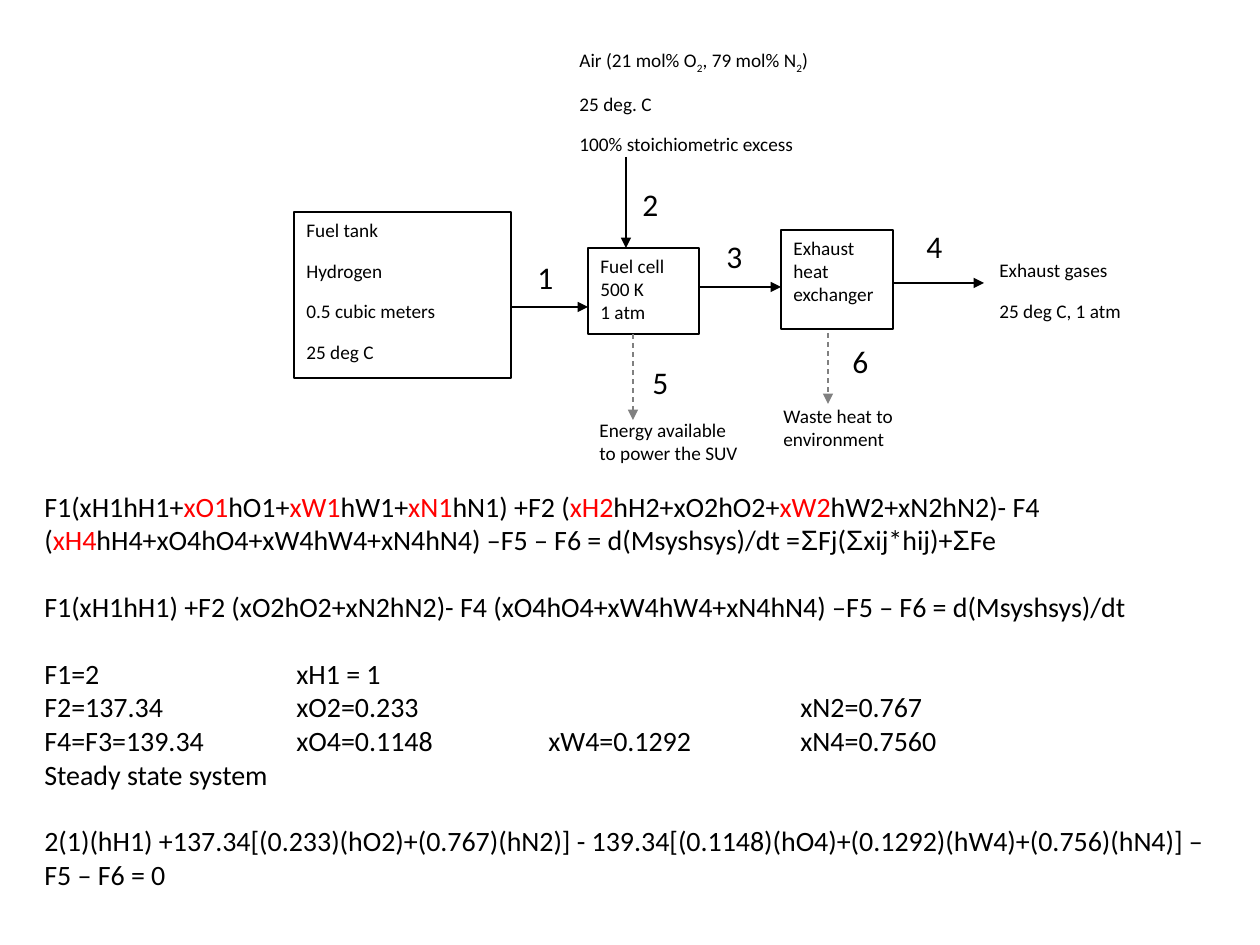
from dataclasses import dataclass

import pptx
import pptx.dml.color
import pptx.enum.dml
import pptx.enum.shapes
import pptx.enum.text
import pptx.oxml
import pptx.oxml.ns
import pptx.util
from lxml import etree

PX = 914400 // 126
BLACK, WHITE, RED, GRAY = "000000", "FFFFFF", "FF0000", "808080"


@dataclass
class Block:
    x: int
    y: int
    w: int
    h: int
    lines: list[str]
    outlined: bool = False
    gap: float = 10


@dataclass
class Arrow:
    x1: int
    y1: int
    x2: int
    y2: int
    energy: bool = False


@dataclass
class StreamLabel:
    text: str
    x: int
    y: int
    wrap: bool = False


@dataclass
class Line:
    text: str
    gap: float = 0


def rgb(color: str) -> pptx.dml.color.RGBColor:
    return pptx.dml.color.RGBColor.from_string(color)


def px(*lengths: int) -> list[int]:
    return [pptx.util.Emu(n * PX) for n in lengths]


def add_run(p, text: str, size: float = 11, color: str = BLACK,
            font: str = "Calibri", baseline: int = 0) -> None:
    r = p.add_run()
    r.text = text
    r.font.size = pptx.util.Pt(size)
    r.font.name = font
    r.font.color.rgb = rgb(color)
    if baseline:
        r._r.get_or_add_rPr().set("baseline", str(baseline * 1000))


def next_paragraph(tf, index: int):
    p = tf.add_paragraph() if index else tf.paragraphs[0]
    p.alignment = pptx.enum.text.PP_ALIGN.LEFT
    return p


def add_block(s, block: Block) -> None:
    sp = s.shapes.add_shape(pptx.enum.shapes.MSO_SHAPE.RECTANGLE,
                            *px(block.x, block.y, block.w, block.h))
    sp.shadow.inherit = False
    sp.fill.solid()
    sp.fill.fore_color.rgb = rgb(WHITE)
    if block.outlined:
        sp.line.color.rgb = rgb(BLACK)
        sp.line.width = pptx.util.Pt(0.75)
    else:
        sp.line.fill.background()
    tf = sp.text_frame
    tf.word_wrap = True
    tf.vertical_anchor = pptx.enum.text.MSO_ANCHOR.TOP
    for i, line in enumerate(block.lines):
        p = next_paragraph(tf, i)
        p.space_after = pptx.util.Pt(block.gap)
        for j, part in enumerate(line.split("_")):
            if j:
                add_run(p, part[0], baseline=-25)
                part = part[1:]
            add_run(p, part)


def add_arrow(s, arrow: Arrow) -> None:
    c = s.shapes.add_connector(pptx.enum.shapes.MSO_CONNECTOR.STRAIGHT,
                               *px(arrow.x1, arrow.y1, arrow.x2, arrow.y2))
    c.line.width = pptx.util.Pt(0.75)
    c.line.color.rgb = rgb(GRAY if arrow.energy else BLACK)
    if arrow.energy:
        c.line.dash_style = pptx.enum.dml.MSO_LINE.DASH
    ln = c.line._get_or_add_ln()
    etree.SubElement(ln, pptx.oxml.ns.qn("a:tailEnd"), type="triangle")
    etree.SubElement(c._element.spPr, pptx.oxml.ns.qn("a:effectLst"))


def add_label(s, label: StreamLabel) -> None:
    tf = s.shapes.add_textbox(*px(label.x, label.y, 42, 50)).text_frame
    tf.word_wrap = label.wrap
    tf.auto_size = pptx.enum.text.MSO_AUTO_SIZE.SHAPE_TO_FIT_TEXT
    add_run(tf.paragraphs[0], label.text, size=18)


def add_tabs(p, step: int, count: int) -> None:
    tabs = etree.SubElement(p._p.get_or_add_pPr(), pptx.oxml.ns.qn("a:tabLst"))
    for n in range(1, count + 1):
        etree.SubElement(tabs, pptx.oxml.ns.qn("a:tab"),
                         pos=str(n * step * PX), algn="l")


def add_balance(s, lines: list[Line]) -> None:
    tf = s.shapes.add_textbox(*px(32, 483, 1197, 420)).text_frame
    tf.word_wrap = True
    tf.auto_size = pptx.enum.text.MSO_AUTO_SIZE.SHAPE_TO_FIT_TEXT
    for i, line in enumerate(lines):
        p = next_paragraph(tf, i)
        p.space_before = pptx.util.Pt(line.gap)
        if "\t" in line.text:
            add_tabs(p, step=252, count=3)
        for j, part in enumerate(line.text.split("|")):
            color = RED if j % 2 else BLACK
            for k, piece in enumerate(part.split("Σ")):
                if k:
                    add_run(p, "Σ", size=16, color=color, font="Arial")
                add_run(p, piece, size=16, color=color)


BALANCE = [
    Line("F1(xH1hH1+|xO1|hO1+|xW1|hW1+|xN1|hN1) +F2 (|xH2|hH2+xO2hO2+|xW2|"
         "hW2+xN2hN2)- F4 (|xH4|hH4+xO4hO4+xW4hW4+xN4hN4) –F5 – F6 = "
         "d(Msyshsys)/dt =ΣFj(Σxij*hij)+ΣFe"),
    Line("F1(xH1hH1) +F2 (xO2hO2+xN2hN2)- F4 (xO4hO4+xW4hW4+xN4hN4) "
         "–F5 – F6 = d(Msyshsys)/dt", gap=19),
    Line("F1=2\txH1 = 1", gap=19),
    Line("F2=137.34\txO2=0.233\t\txN2=0.767"),
    Line("F4=F3=139.34\txO4=0.1148\txW4=0.1292\txN4=0.7560"),
    Line("Steady state system"),
    Line("2(1)(hH1) +137.34[(0.233)(hO2)+(0.767)(hN2)] - "
         "139.34[(0.1148)(hO4)+(0.1292)(hW4)+(0.756)(hN4)] –F5 – F6 = 0",
         gap=19),
]
BLOCKS = [
    Block(294, 212, 217, 166,
          ["Fuel tank", "Hydrogen", "0.5 cubic meters", "25 deg C"], True),
    Block(588, 248, 111, 86, ["Fuel cell", "500 K", "1 atm"], True, gap=0),
    Block(781, 230, 112, 99, ["Exhaust heat exchanger"], True),
    Block(587, 412, 169, 60, ["Energy available to power the SUV"]),
    Block(771, 398, 194, 55, ["Waste heat to environment"]),
    Block(567, 42, 270, 118,
          ["Air (21 mol% O_2, 79 mol% N_2)", "25 deg. C",
           "100% stoichiometric excess"]),
    Block(987, 252, 189, 73, ["Exhaust gases", "25 deg C, 1 atm"]),
]
ARROWS = [
    Arrow(511, 307, 588, 307),
    Arrow(626, 157, 626, 248),
    Arrow(633, 334, 633, 420, energy=True),
    Arrow(699, 287, 781, 287),
    Arrow(893, 283, 984, 283),
    Arrow(828, 333, 828, 404, energy=True),
]
LABELS = [
    StreamLabel("1", 525, 252),
    StreamLabel("2", 630, 179),
    StreamLabel("3", 714, 231),
    StreamLabel("4", 914, 221, wrap=True),
    StreamLabel("5", 640, 357),
    StreamLabel("6", 840, 336),
]

prs = pptx.Presentation()
prs.slide_width, prs.slide_height = px(1260, 945)
s = prs.slides.add_slide(prs.slide_layouts[6])
add_balance(s, BALANCE)
for block in BLOCKS:
    add_block(s, block)
for arrow in ARROWS:
    add_arrow(s, arrow)
for label in LABELS:
    add_label(s, label)
prs.save("out.pptx")
